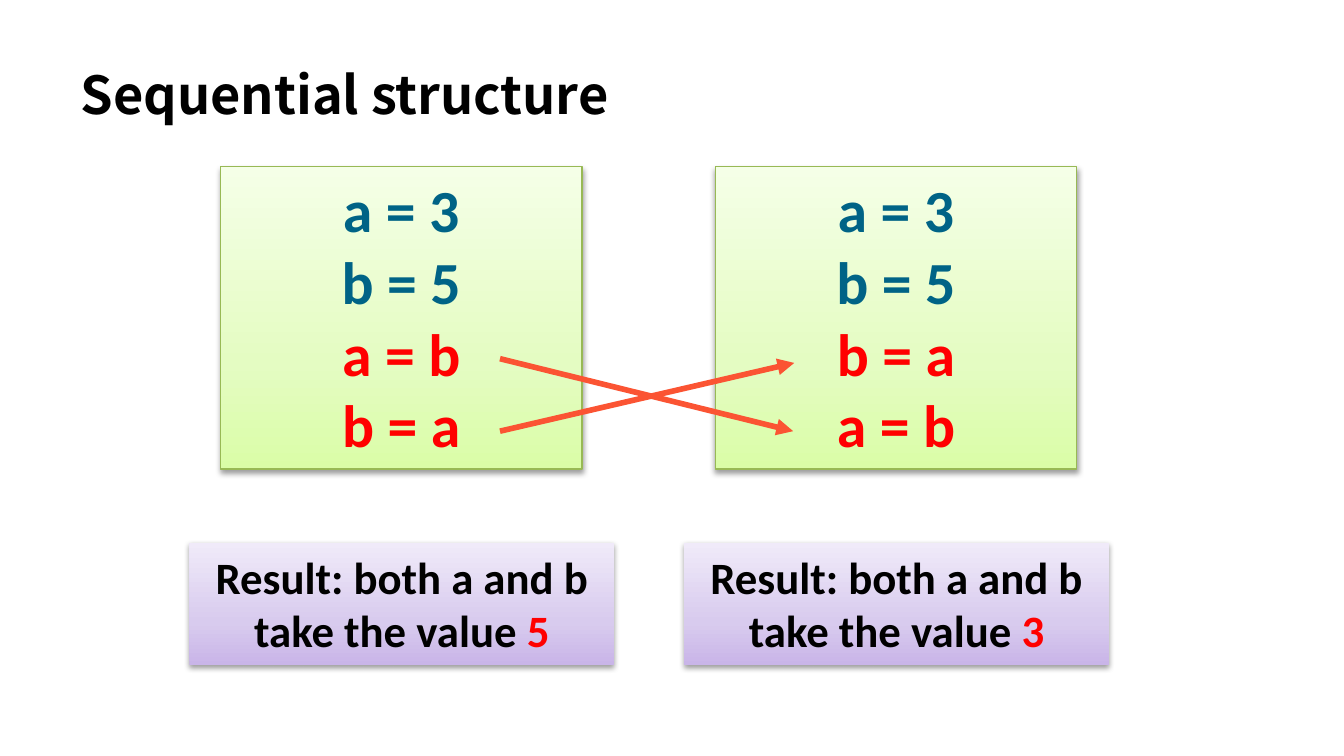
"""Build the "Sequential structure" slide comparing two assignment orders."""
from copy import deepcopy

from lxml import etree
from pptx import Presentation
from pptx.dml.color import RGBColor
from pptx.enum.shapes import MSO_CONNECTOR, MSO_SHAPE
from pptx.enum.text import MSO_ANCHOR, MSO_AUTO_SIZE, PP_ALIGN
from pptx.oxml.ns import qn
from pptx.util import Cm, Pt

RECT = MSO_SHAPE.RECTANGLE
STRAIGHT = MSO_CONNECTOR.STRAIGHT
TOP, MIDDLE = MSO_ANCHOR.TOP, MSO_ANCHOR.MIDDLE
LEFT, CENTER = PP_ALIGN.LEFT, PP_ALIGN.CENTER
NO_AUTOFIT = MSO_AUTO_SIZE.NONE

COLORS = {
    "black": "000000",
    "blue": "006386",
    "red": "FF0000",
    "arrow": "FB5433",
    "green_line": "98B955",
}
GREENS = ["DAFDA7", "E4FCC2", "F5FFE7"]
PURPLES = ["C9B5E8", "D8CBEE", "F0EAF9"]
STOPS = [0, 0.35, 1]
COLUMN_STEP = 9.35


def add_run(p, text, size, color, font="Calibri"):
    r = p.add_run()
    r.text = text
    r.font.name = font
    r.font.size = Pt(size)
    r.font.bold = True
    r.font.color.rgb = RGBColor.from_string(COLORS[color])


def add_panel(s, x, y, w, h, gradient, line=None):
    sp = s.shapes.add_shape(RECT, Cm(x), Cm(y), Cm(w), Cm(h))
    sp.fill.gradient()
    sp.fill.gradient_angle = 90
    stops = sp._element.spPr.find(".//" + qn("a:gsLst"))
    stops.append(deepcopy(stops[0]))
    for stop, position, color in zip(sp.fill.gradient_stops, STOPS, gradient):
        stop.position = position
        stop.color.rgb = RGBColor.from_string(color)
    if line:
        sp.line.color.rgb = RGBColor.from_string(COLORS[line])
        sp.line.width = Pt(0.75)
    else:
        sp.line.fill.background()
    sp.shadow.inherit = False
    effects = sp._element.spPr.find(qn("a:effectLst"))
    shadow = etree.SubElement(effects, qn("a:outerShdw"), blurRad=str(Pt(3.1)),
                              dist=str(Pt(1.6)), dir="5400000", rotWithShape="0")
    color = etree.SubElement(shadow, qn("a:srgbClr"), val=COLORS["black"])
    etree.SubElement(color, qn("a:alpha"), val="38000")
    tf = sp.text_frame
    tf.word_wrap = True
    tf.vertical_anchor = TOP
    return tf


prs = Presentation()
prs.slide_width, prs.slide_height = Cm(25.4), Cm(14.29)
s = prs.slides.add_slide(prs.slide_layouts[5])

title = s.shapes.title
title.left, title.top, title.width, title.height = Cm(1.27), Cm(0.58), Cm(22.86), Cm(2.39)
tf = title.text_frame
tf.auto_size = NO_AUTOFIT
tf.vertical_anchor = MIDDLE
tf.paragraphs[0].alignment = LEFT
add_run(tf.paragraphs[0], "Sequential structure", 28, "black", "Noto Sans CJK SC")

programs = [["a = 3", "b = 5", "a = b", "b = a"], ["a = 3", "b = 5", "b = a", "a = b"]]
for column, statements in enumerate(programs):
    tf = add_panel(s, 4.17 + column * COLUMN_STEP, 3.15, 6.83, 5.72, GREENS, "green_line")
    for i, statement in enumerate(statements):
        p = tf.paragraphs[0] if i == 0 else tf.add_paragraph()
        p.alignment = CENTER
        add_run(p, statement, 32, "blue" if i < 2 else "red")

for start_y, end_x, end_y in [(8.15, 15.01, 6.86), (6.78, 14.99, 8.15)]:
    arrow = s.shapes.add_connector(STRAIGHT, Cm(9.45), Cm(start_y), Cm(end_x), Cm(end_y))
    arrow.line.color.rgb = RGBColor.from_string(COLORS["arrow"])
    arrow.line.width = Pt(3)
    etree.SubElement(arrow.line._get_or_add_ln(), qn("a:tailEnd"), type="triangle")
    etree.SubElement(arrow._element.spPr, qn("a:effectLst"))

for column, value in enumerate(["5", "3"]):
    tf = add_panel(s, 3.58 + column * COLUMN_STEP, 10.26, 8.03, 2.31, PURPLES)
    p = tf.paragraphs[0]
    p.alignment = CENTER
    add_run(p, "Result: both a and b take the value ", 24, "black")
    add_run(p, value, 24, "red")

prs.save("out.pptx")
